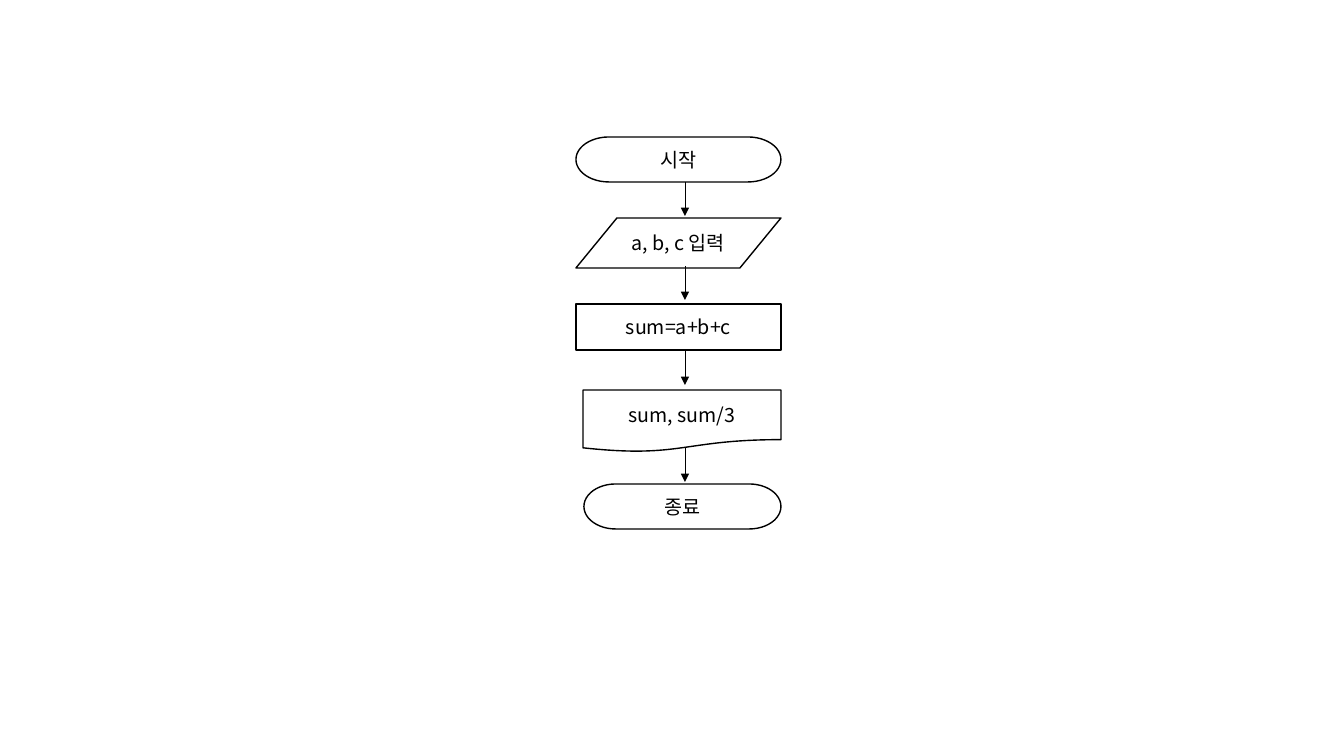
from lxml.etree import SubElement
from pptx import Presentation
from pptx.dml.color import RGBColor
from pptx.enum.shapes import MSO_CONNECTOR, MSO_SHAPE
from pptx.enum.text import MSO_ANCHOR, PP_ALIGN
from pptx.oxml.ns import qn
from pptx.util import Pt

# Content: shape, label, left, top, height
STEPS = [
    (MSO_SHAPE.FLOWCHART_TERMINATOR, "시작", 576, 137, 45),
    (MSO_SHAPE.FLOWCHART_DATA, "a, b, c 입력", 576, 218, 50),
    (MSO_SHAPE.FLOWCHART_PROCESS, "sum=a+b+c", 576, 304, 46),
    (MSO_SHAPE.FLOWCHART_DOCUMENT, "sum, sum/3", 583, 390, 62),
    (MSO_SHAPE.FLOWCHART_TERMINATOR, "종료", 584, 484, 45),
]
ARROW_TOPS = [182, 266, 351, 448]
STEP_RIGHT = 781
ARROW_X, ARROW_LENGTH = 685, 34

THEME = {
    "font": "Noto Sans CJK KR",
    "size": Pt(14),
    "ink": RGBColor(0, 0, 0),
    "outline": Pt(1),
    "arrow": Pt(0.5),
}


def px(pixels):
    return round(pixels * 914400 / 100.8)


def add_step(page, kind, label, left, top, height):
    box = page.shapes.add_shape(
        kind, px(left), px(top), px(STEP_RIGHT - left), px(height))
    box.shadow.inherit = False
    box.fill.background()
    box.line.color.rgb = THEME["ink"]
    box.line.width = THEME["outline"]
    box.text_frame.vertical_anchor = MSO_ANCHOR.MIDDLE
    para = box.text_frame.paragraphs[0]
    para.text = label
    para.alignment = PP_ALIGN.CENTER
    para.font.size = THEME["size"]
    para.font.color.rgb = THEME["ink"]
    para.font.name = THEME["font"]
    # Korean glyphs take the East Asian typeface
    properties = para._p.pPr.find(qn("a:defRPr"))
    SubElement(properties, qn("a:ea"), typeface=THEME["font"])


def add_arrow(page, top):
    arrow = page.shapes.add_connector(
        MSO_CONNECTOR.STRAIGHT,
        px(ARROW_X), px(top), px(ARROW_X), px(top + ARROW_LENGTH))
    arrow.line.color.rgb = THEME["ink"]
    arrow.line.width = THEME["arrow"]
    SubElement(arrow.line._get_or_add_ln(), qn("a:tailEnd"), type="triangle")
    SubElement(arrow._element.spPr, qn("a:effectLst"))


deck = Presentation()
deck.slide_width, deck.slide_height = px(1344), px(756)
page = deck.slides.add_slide(deck.slide_layouts[6])

# Flowchart steps
for step in STEPS:
    add_step(page, *step)

# Arrows between the steps
for arrow_top in ARROW_TOPS:
    add_arrow(page, arrow_top)

deck.save("out.pptx")
